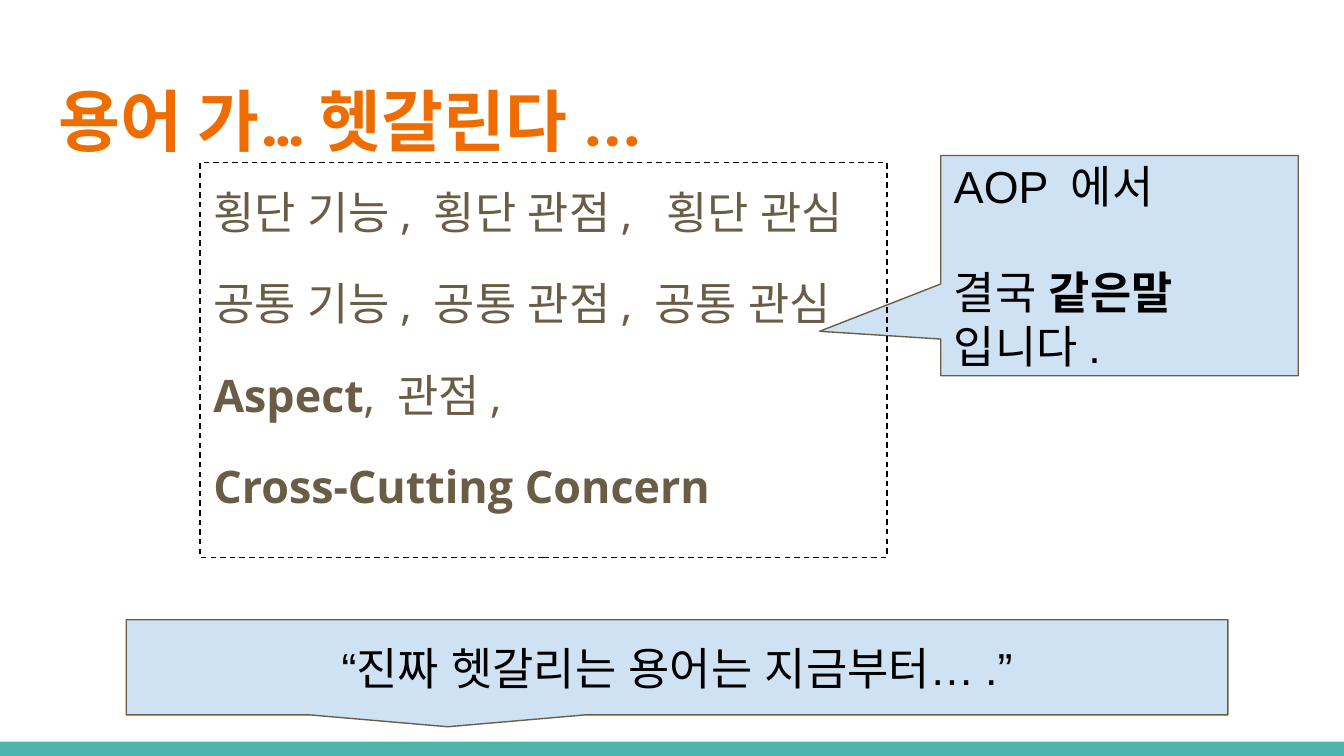
from dataclasses import dataclass
from typing import Optional

from lxml.etree import SubElement
from pptx import Presentation
from pptx.dml.color import RGBColor
from pptx.enum.dml import MSO_LINE_DASH_STYLE as Dash
from pptx.enum.shapes import MSO_SHAPE as Kind
from pptx.enum.text import MSO_ANCHOR as Anchor, PP_ALIGN as Align
from pptx.oxml.ns import qn
from pptx.util import Pt

# Colours
WHITE = RGBColor(0xFF, 0xFF, 0xFF)
BLACK = RGBColor(0x00, 0x00, 0x00)
TEAL = RGBColor(0x4D, 0xB6, 0xAC)
ORANGE = RGBColor(0xEF, 0x6C, 0x00)
BROWN = RGBColor(0x69, 0x5D, 0x46)
BLUE = RGBColor(0xCF, 0xE2, 0xF3)


@dataclass(frozen=True)
class Run:
    text: str
    bold: bool = False


@dataclass(frozen=True)
class Para:
    runs: tuple[Run, ...]
    before: float = 0
    after: float = 0


@dataclass(frozen=True)
class Style:
    font: str
    size: float
    color: RGBColor
    align: Align = Align.LEFT
    anchor: Anchor = Anchor.TOP
    lead: float = 1.0


@dataclass(frozen=True)
class Box:
    left: float
    top: float
    width: float
    height: float
    kind: Kind = Kind.RECTANGLE
    fill: Optional[RGBColor] = None
    line: Optional[RGBColor] = None
    dash: bool = False
    tail: tuple[float, ...] = ()


def write(frame, paras: tuple[Para, ...], style: Style) -> None:
    frame.word_wrap = True
    frame.vertical_anchor = style.anchor
    frame.margin_left = frame.margin_right = Pt(7.2)
    frame.margin_top = frame.margin_bottom = Pt(7.2)
    for i, para in enumerate(paras):
        p = frame.paragraphs[0] if i == 0 else frame.add_paragraph()
        p.alignment = style.align
        p.line_spacing = style.lead
        p.space_before, p.space_after = Pt(para.before), Pt(para.after)
        for item in para.runs:
            run = p.add_run()
            run.text = item.text
            font = run.font
            font.name, font.size, font.bold = style.font, Pt(style.size), item.bold
            font.color.rgb = style.color
            # Hangul takes the same typeface
            SubElement(run._r.get_or_add_rPr(), qn("a:ea"), typeface=style.font)


def draw(slide, box: Box, paras: tuple[Para, ...] = (),
         style: Optional[Style] = None) -> None:
    shape = slide.shapes.add_shape(
        box.kind, Pt(box.left), Pt(box.top), Pt(box.width), Pt(box.height))
    shape.shadow.inherit = False
    for i, value in enumerate(box.tail):
        shape.adjustments[i] = value
    if box.fill is None:
        shape.fill.background()
    else:
        shape.fill.solid()
        shape.fill.fore_color.rgb = box.fill
    if box.line is None:
        shape.line.fill.background()
    else:
        shape.line.color.rgb = box.line
        shape.line.width = Pt(0.75)
        if box.dash:
            shape.line.dash_style = Dash.DASH
    if style:
        write(shape.text_frame, paras, style)


def main() -> None:
    deck = Presentation()
    deck.slide_width, deck.slide_height = Pt(720), Pt(405)
    slide = deck.slides.add_slide(deck.slide_layouts[6])
    slide.background.fill.solid()
    slide.background.fill.fore_color.rgb = WHITE

    # Bottom band
    draw(slide, Box(0, 397.4, 720, 7.6, fill=TEAL))

    # Title
    title = slide.shapes.add_textbox(Pt(24.5), Pt(35.3), Pt(671), Pt(55.4))
    write(title.text_frame, (Para((Run("용어 가… 헷갈린다...", True),)),),
          Style("Roboto Condensed", 36, ORANGE))

    # Side callout
    draw(slide,
         Box(504, 83.3, 191.5, 118, Kind.ROUNDED_RECTANGULAR_CALLOUT,
             BLUE, BROWN, tail=(-0.839, 0.298, 0)),
         (Para((Run("AOP 에서"),)),
          Para((Run("결국 "), Run("같은말 ", True), Run("입니다.")), before=28)),
         Style("Arial", 24, BLACK, anchor=Anchor.MIDDLE))

    # Terms
    draw(slide, Box(107.2, 87.2, 368, 211.4, line=BLACK, dash=True),
         (Para((Run("횡단 기능, 횡단 관점,  횡단 관심"),)),
          Para((Run("공통 기능, 공통 관점, 공통 관심"),), before=16),
          Para((Run("Aspect", True), Run(", 관점,")), before=16),
          Para((Run("Cross-Cutting Concern", True),), before=16, after=16)),
         Style("Open Sans", 24, BROWN, lead=1.15))

    # Closing callout
    draw(slide,
         Box(67.6, 332, 590.2, 51, Kind.RECTANGULAR_CALLOUT,
             BLUE, BROWN, tail=(-0.208, 0.625)),
         (Para((Run("“진짜 헷갈리는 용어는 지금부터….”"),)),),
         Style("Arial", 24, BLACK, Align.CENTER, Anchor.MIDDLE))

    deck.save("out.pptx")


if __name__ == "__main__":
    main()
